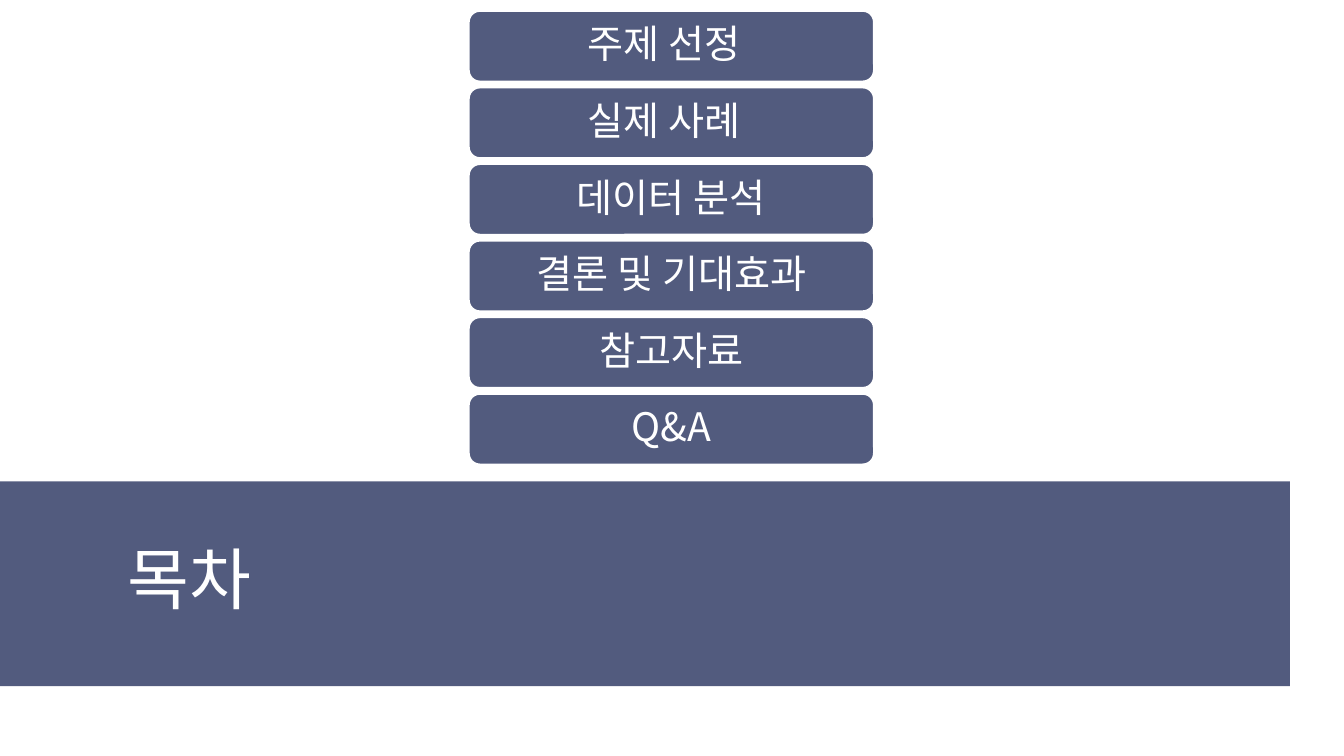
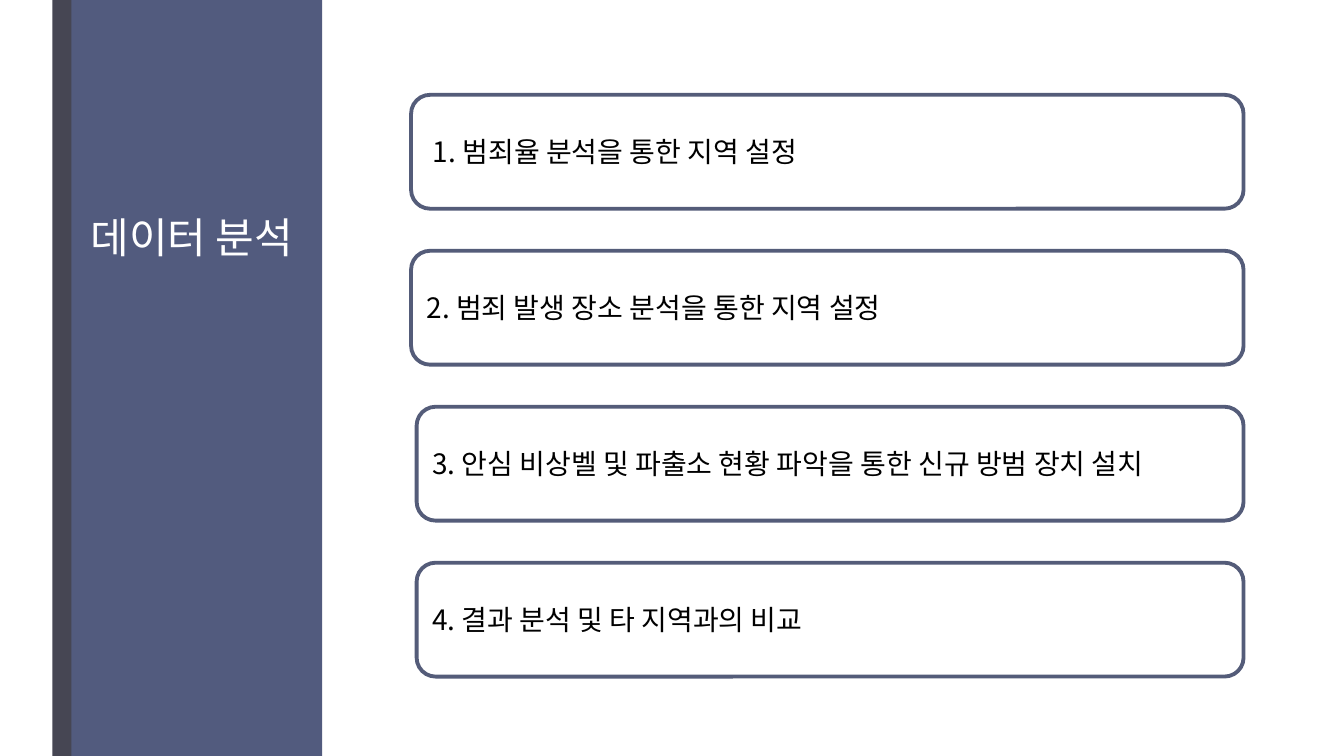
from dataclasses import dataclass

import pptx
import pptx.dml.color
import pptx.enum.shapes
import pptx.enum.text
import pptx.oxml.ns
import pptx.slide
import pptx.util
from lxml import etree

Cm = pptx.util.Cm
Pt = pptx.util.Pt
Kind = pptx.enum.shapes.MSO_SHAPE
Align = pptx.enum.text.PP_ALIGN
Anchor = pptx.enum.text.MSO_ANCHOR


# Colours and type sizes
@dataclass(frozen=True)
class Theme:
    font: str = "Noto Sans CJK KR"
    white: str = "FFFFFF"
    black: str = "000000"
    navy: str = "525B7E"
    slate: str = "545C79"
    dark: str = "464653"
    head: float = 48
    side: float = 30
    item: float = 28
    body: float = 20
    line: float = 2.75


THEME = Theme()


# Lengths in centimetres
@dataclass(frozen=True)
class Box:
    left: float
    top: float
    width: float
    height: float


@dataclass(frozen=True)
class Entry:
    text: str
    shift: float = 0   # extra inset that nudges the text
    trim: float = 0    # amount cut from the left of the box


SIZE = Box(0, 0, 33.87, 19.05)

AGENDA = [
    Entry("주제 선정", shift=0.35),
    Entry("실제 사례", shift=0.35),
    Entry("데이터 분석"),
    Entry("결론 및 기대효과"),
    Entry("참고자료"),
    Entry("Q&A"),
]

STEPS = [
    Entry("1. 범죄율 분석을 통한 지역 설정", shift=0.16),
    Entry("2. 범죄 발생 장소 분석을 통한 지역 설정"),
    Entry("3. 안심 비상벨 및 파출소 현황 파악을 통한 신규 방범 장치 설치", trim=0.14),
    Entry("4. 결과 분석 및 타 지역과의 비교", trim=0.14),
]


def color(code: str) -> pptx.dml.color.RGBColor:
    return pptx.dml.color.RGBColor.from_string(code)


def write(shape, text: str, *, size: float, ink: str = THEME.white,
          align=Align.LEFT, anchor=Anchor.MIDDLE, space: float = 1,
          left: float = 0.25, right: float = 0.25) -> None:
    """Put formatted text into a shape or placeholder."""
    frame = shape.text_frame
    frame.word_wrap = True
    frame.auto_size = pptx.enum.text.MSO_AUTO_SIZE.NONE
    frame.vertical_anchor = anchor
    frame.margin_left, frame.margin_right = Cm(left), Cm(right)
    frame.margin_top = frame.margin_bottom = Cm(0.13)
    para = frame.paragraphs[0]
    para.alignment = align
    para.line_spacing = space
    run = para.add_run()
    run.text = text
    run.font.size = Pt(size)
    run.font.name = THEME.font
    run.font.color.rgb = color(ink)
    # Korean letters use the East Asian font slot
    east = etree.SubElement(run.font._element, pptx.oxml.ns.qn("a:ea"))
    east.set("typeface", THEME.font)


def place(shape, box: Box) -> None:
    shape.left, shape.top = Cm(box.left), Cm(box.top)
    shape.width, shape.height = Cm(box.width), Cm(box.height)


def panel(slide: pptx.slide.Slide, box: Box, fill: str,
          line: str = "", kind=Kind.RECTANGLE):
    """Draw a filled shape, with an outline if a line colour is given."""
    shape = slide.shapes.add_shape(kind, 0, 0, 0, 0)
    place(shape, box)
    shape.shadow.inherit = False
    shape.fill.solid()
    shape.fill.fore_color.rgb = color(fill)
    if line:
        shape.line.color.rgb = color(line)
        shape.line.width = Pt(THEME.line)
    else:
        shape.line.fill.background()
    return shape


def banner(slide: pptx.slide.Slide, band: Box, spot: Box, text: str,
           size: float, anchor) -> None:
    """Draw the navy band and set the slide title on top of it."""
    panel(slide, band, THEME.navy)
    title = slide.shapes.title
    place(title, spot)
    write(title, text, size=size, anchor=anchor, space=0.89)
    title.element.getparent().append(title.element)


def agenda(slide: pptx.slide.Slide) -> None:
    banner(slide, Box(0, 12.13, 32.51, 5.16), Box(2.97, 12.75, 28.37, 2.97),
           "목차", THEME.head, Anchor.BOTTOM)
    # Stack of agenda buttons
    step = 1.93
    for i, entry in enumerate(AGENDA):
        box = Box(11.79, 0.25 + i * step, 10.26, 1.83)
        shape = panel(slide, box, THEME.navy, THEME.white,
                      Kind.ROUNDED_RECTANGLE)
        write(shape, entry.text, size=THEME.item, align=Align.CENTER,
              space=0.9, right=0.25 + entry.shift)


def steps(slide: pptx.slide.Slide) -> None:
    # Dark edge beside the band
    panel(slide, Box(1.32, 0, 0.64, SIZE.height), THEME.dark)
    # Outlined step cards
    pitch = 3.93
    for i, entry in enumerate(STEPS):
        box = Box(10.36 + entry.trim, 2.39 + i * pitch,
                  20.98 - entry.trim, 2.87)
        shape = panel(slide, box, THEME.white, THEME.slate,
                      Kind.ROUNDED_RECTANGLE)
        write(shape, entry.text, size=THEME.body, ink=THEME.black,
              left=0.25 + entry.shift)
    banner(slide, Box(1.8, 0, 6.32, SIZE.height), Box(2.03, 5.36, 8.33, 4.62),
           "데이터 분석", THEME.side, Anchor.TOP)


def main() -> None:
    deck = pptx.Presentation()
    deck.slide_width, deck.slide_height = Cm(SIZE.width), Cm(SIZE.height)
    for draw in (agenda, steps):
        draw(deck.slides.add_slide(deck.slide_layouts[5]))
    deck.save("out.pptx")


if __name__ == "__main__":
    main()
